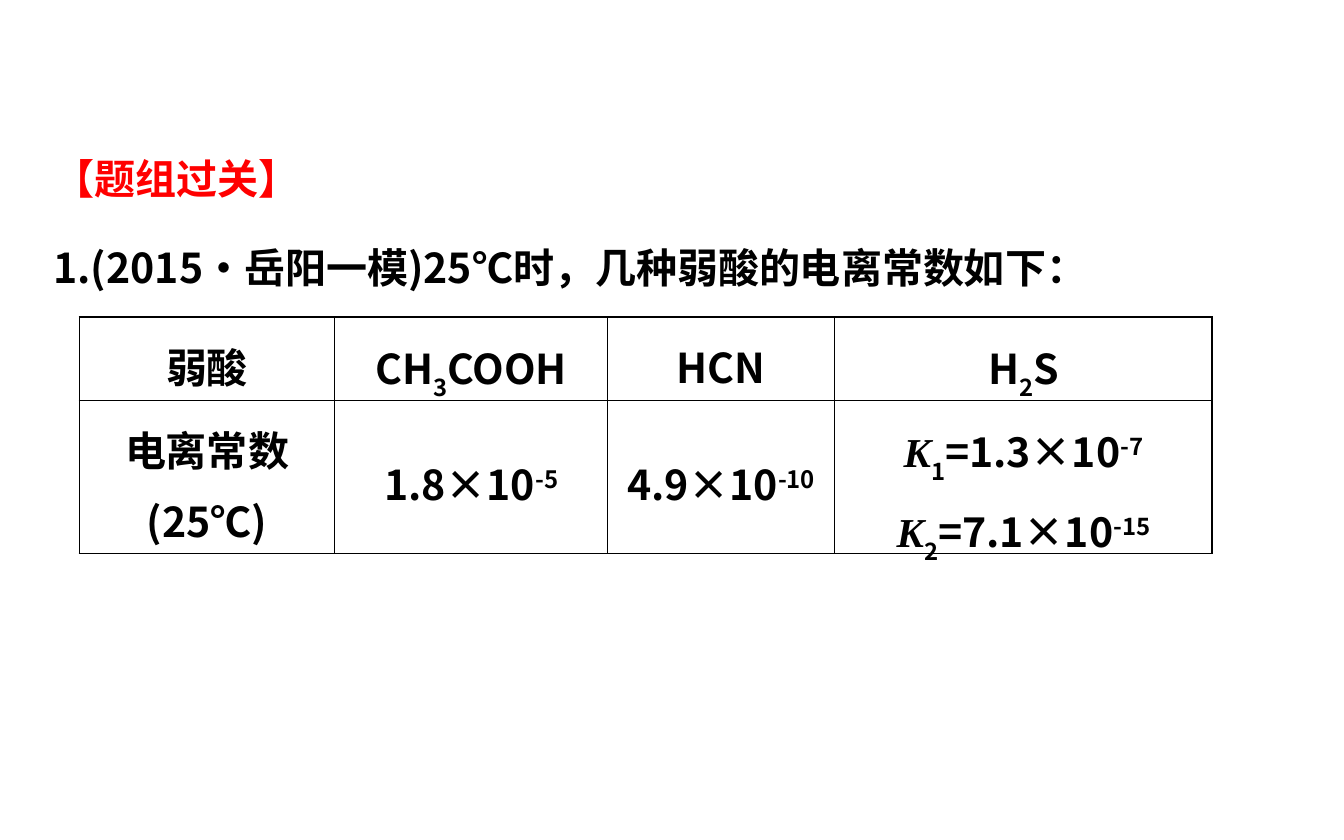
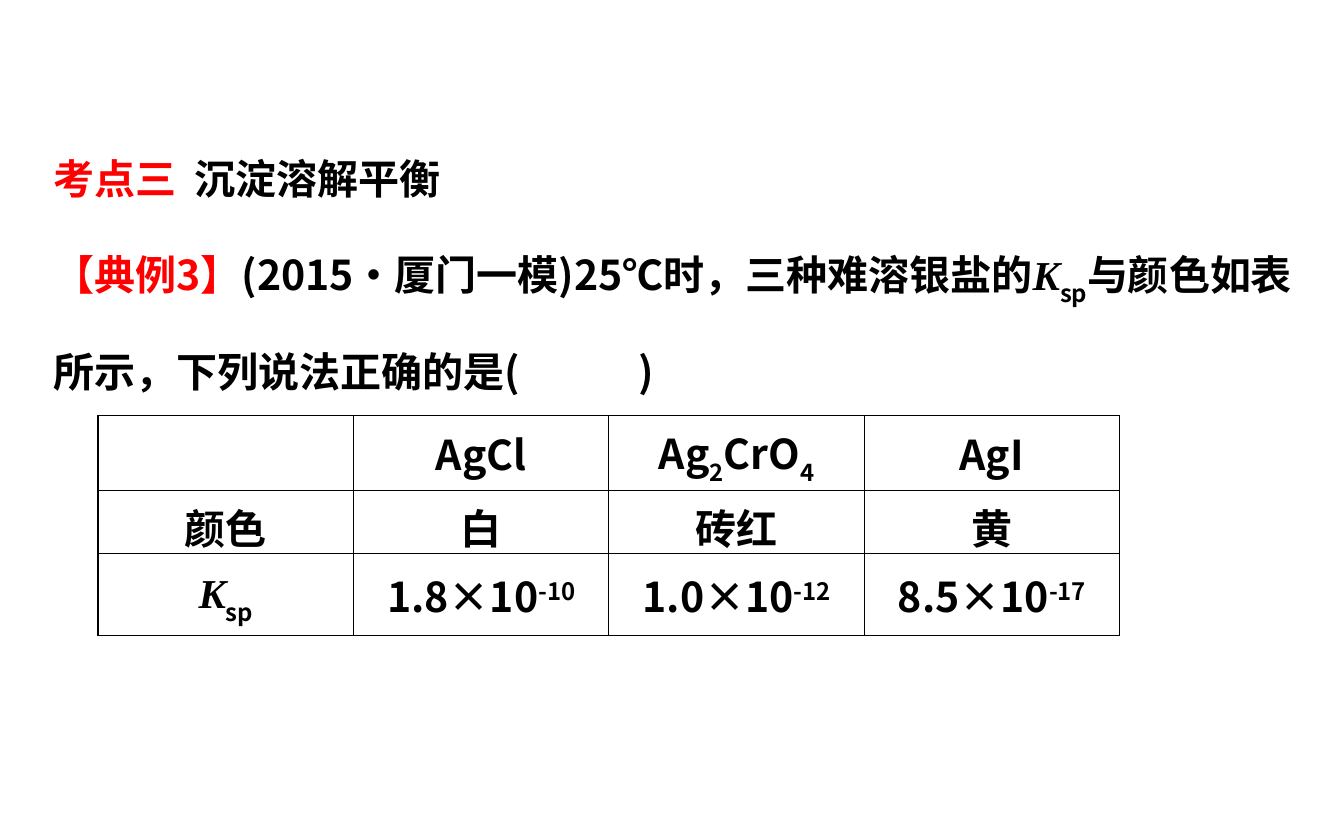
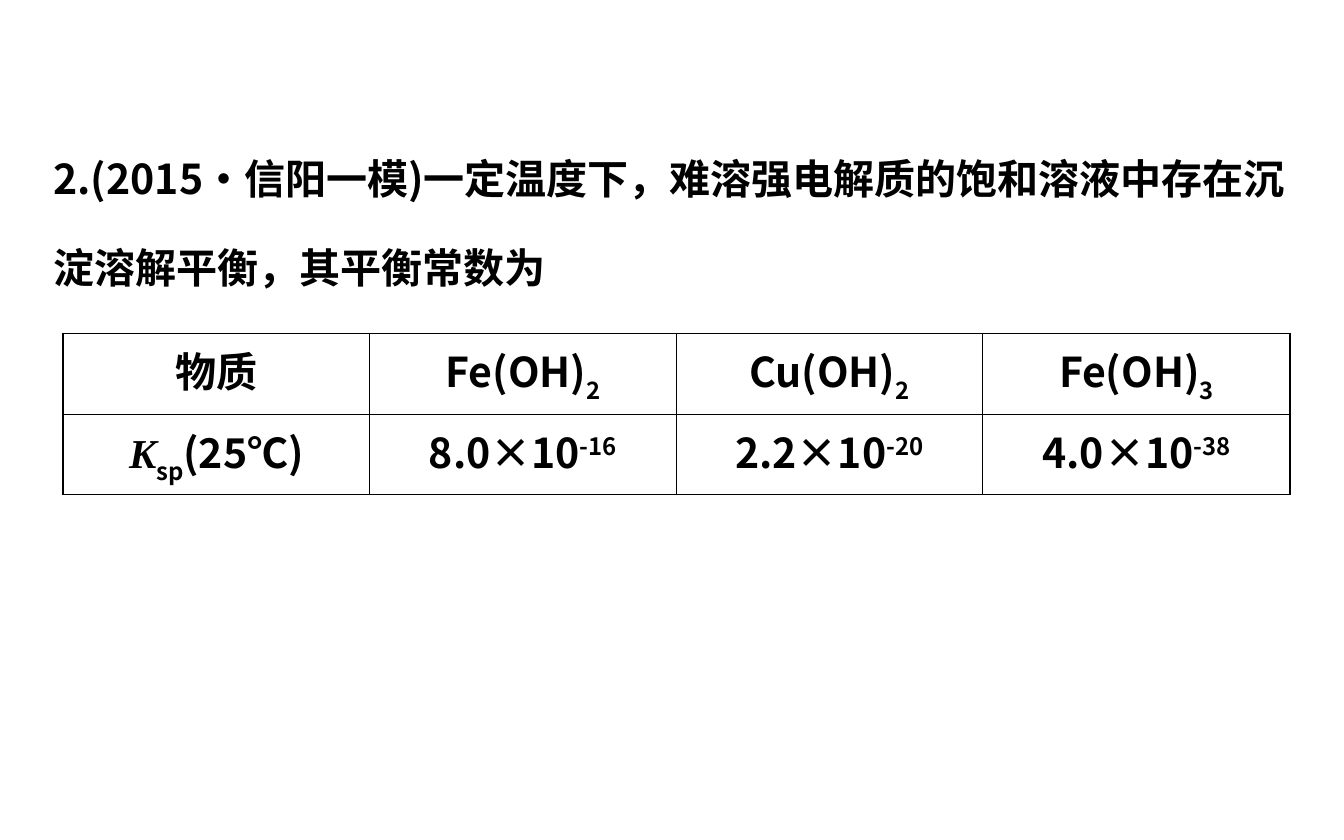
"""Build three chemistry exercise slides, each a question above a data table."""
import pptx
import pptx.dml.color
import pptx.enum.text
import pptx.oxml
import pptx.oxml.ns
import pptx.util

PX = 9144
COLORS = {"text": "000000", "accent": "FF0000"}
FONT, ITALIC_FONT = "Noto Sans CJK SC", "Times New Roman"
FONT_SIZE = 22
OUTER, INNER = 0.96, 0.45
BASELINES = {"_": "-30000", "^": "30000"}
MARKS = "_^*!"
CENTER = pptx.enum.text.PP_ALIGN.CENTER
MIDDLE = pptx.enum.text.MSO_ANCHOR.MIDDLE
NS = pptx.oxml.ns.nsdecls("a")


class Deck:
    def __init__(self, width, height):
        self.prs = pptx.Presentation()
        self.prs.slide_width, self.prs.slide_height = width * PX, height * PX

    def new_slide(self):
        self.s = self.prs.slides.add_slide(self.prs.slide_layouts[6])

    def fill_paragraph(self, p, markup, spacing=None, align=None, tab=None):
        if spacing:
            p.line_spacing = spacing
        p.alignment = align
        if tab:
            p._p.get_or_add_pPr().append(pptx.oxml.parse_xml(
                f'<a:tabLst {NS}><a:tab pos="{tab * PX}" algn="l"/></a:tabLst>'))
        for piece in filter(None, markup.split("|")):
            mark = piece[0] if piece[0] in MARKS else ""
            r = p.add_run()
            r.text = piece[len(mark):]
            r.font.size = pptx.util.Pt(FONT_SIZE)
            r.font.bold = True
            r.font.italic = mark == "*"
            color = COLORS["accent" if mark == "!" else "text"]
            r.font.color.rgb = pptx.dml.color.RGBColor.from_string(color)
            r.font.name = ITALIC_FONT if mark == "*" else FONT
            rPr = r._r.get_or_add_rPr()
            rPr.append(pptx.oxml.parse_xml(f'<a:ea {NS} typeface="{FONT}"/>'))
            if mark in BASELINES:
                rPr.set("baseline", BASELINES[mark])

    def question(self, height, *paragraphs):
        sp = self.s.shapes.add_textbox(30 * PX, 80 * PX, 943 * PX, height * PX)
        tf = sp.text_frame
        tf.word_wrap = True
        tf.auto_size = pptx.enum.text.MSO_AUTO_SIZE.SHAPE_TO_FIT_TEXT
        for i, (markup, tab) in enumerate(paragraphs):
            p = tf.add_paragraph() if i else tf.paragraphs[0]
            self.fill_paragraph(p, markup, spacing=1.8, tab=tab)

    def border(self, cell, edges):
        tcPr = cell._tc.get_or_add_tcPr()
        for side, outer in edges.items():
            width = pptx.util.Pt(OUTER if outer else INNER)
            tcPr.append(pptx.oxml.parse_xml(
                f'<a:ln{side} {NS} w="{int(width)}"><a:solidFill>'
                f'<a:srgbClr val="{COLORS["text"]}"/></a:solidFill></a:ln{side}>'))
        cell.fill.background()

    def table(self, left, top, widths, heights, rows, anchor=MIDDLE, spacing=None):
        sp = self.s.shapes.add_table(len(heights), len(widths), left * PX, top * PX,
                                     sum(widths) * PX, sum(heights) * PX)
        table = sp.table
        table.first_row = table.horz_banding = False
        for column, width in zip(table.columns, widths):
            column.width = width * PX
        for row, height in zip(table.rows, heights):
            row.height = height * PX
        for i, row in enumerate(rows):
            for j, lines in enumerate(row):
                cell = table.cell(i, j)
                cell.vertical_anchor = anchor
                for n, markup in enumerate(lines.split("\n")):
                    tf = cell.text_frame
                    p = tf.add_paragraph() if n else tf.paragraphs[0]
                    self.fill_paragraph(p, markup, spacing, CENTER)
                self.border(cell, {"L": j == 0, "R": j == len(widths) - 1,
                                   "T": i == 0, "B": i == len(heights) - 1})


def main():
    deck = Deck(1000, 625)

    deck.new_slide()
    deck.question(142, ("!【题组过关】", None),
                  ("1.(2015·岳阳一模)25℃时，几种弱酸的电离常数如下：", None))
    deck.table(59, 236, [190, 203, 169, 281], [62, 114], [
        ["弱酸", "CH|_3|COOH", "HCN", "H|_2|S"],
        ["电离常数\n(25℃)", "1.8×10|^-5", "4.9×10|^-10",
         "*K|_1|=1.3×10|^-7\n*K|_2|=7.1×10|^-15"],
    ], spacing=1.2)

    deck.new_slide()
    deck.question(220, ("!考点三\t|沉淀溶解平衡", 105),
                  ("!【典例3】|(2015·厦门一模)25℃时，三种难溶银盐的|*K|_sp|"
                   "与颜色如表所示，下列说法正确的是(\t)", 435))
    deck.table(73, 309, [190] * 4, [56, 47, 61], [
        ["", "AgCl", "Ag|_2|CrO|_4", "AgI"],
        ["颜色", "白", "砖红", "黄"],
        ["*K|_sp", "1.8×10|^-10", "1.0×10|^-12", "8.5×10|^-17"],
    ])

    deck.new_slide()
    deck.question(142, ("2.(2015·信阳一模)一定温度下，难溶强电解质的饱和溶液中存在"
                        "沉淀溶解平衡，其平衡常数为", None))
    deck.table(47, 248, [228, 228, 228, 229], [60, 60], [
        ["物质", "Fe(OH)|_2", "Cu(OH)|_2", "Fe(OH)|_3"],
        ["*K|_sp|(25℃)", "8.0×10|^-16", "2.2×10|^-20", "4.0×10|^-38"],
    ], anchor=pptx.enum.text.MSO_ANCHOR.TOP)

    deck.prs.save("out.pptx")


if __name__ == "__main__":
    main()
